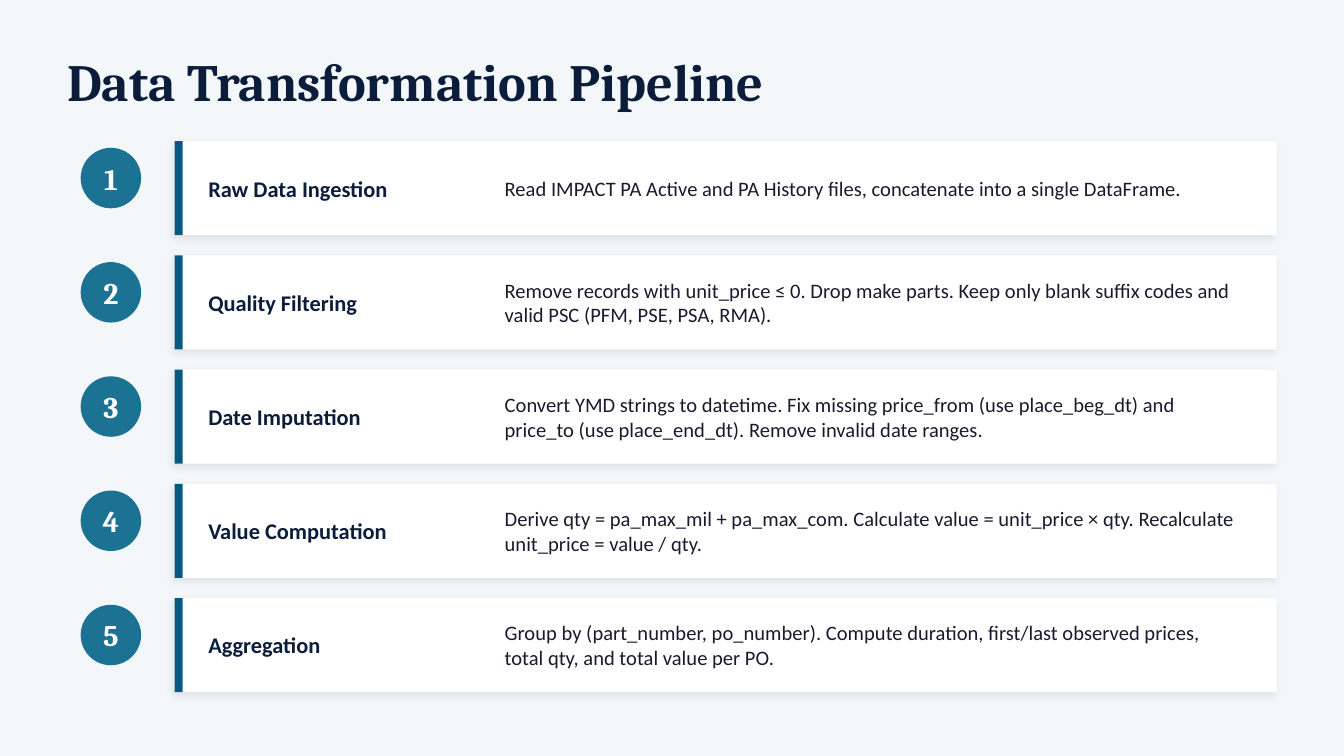
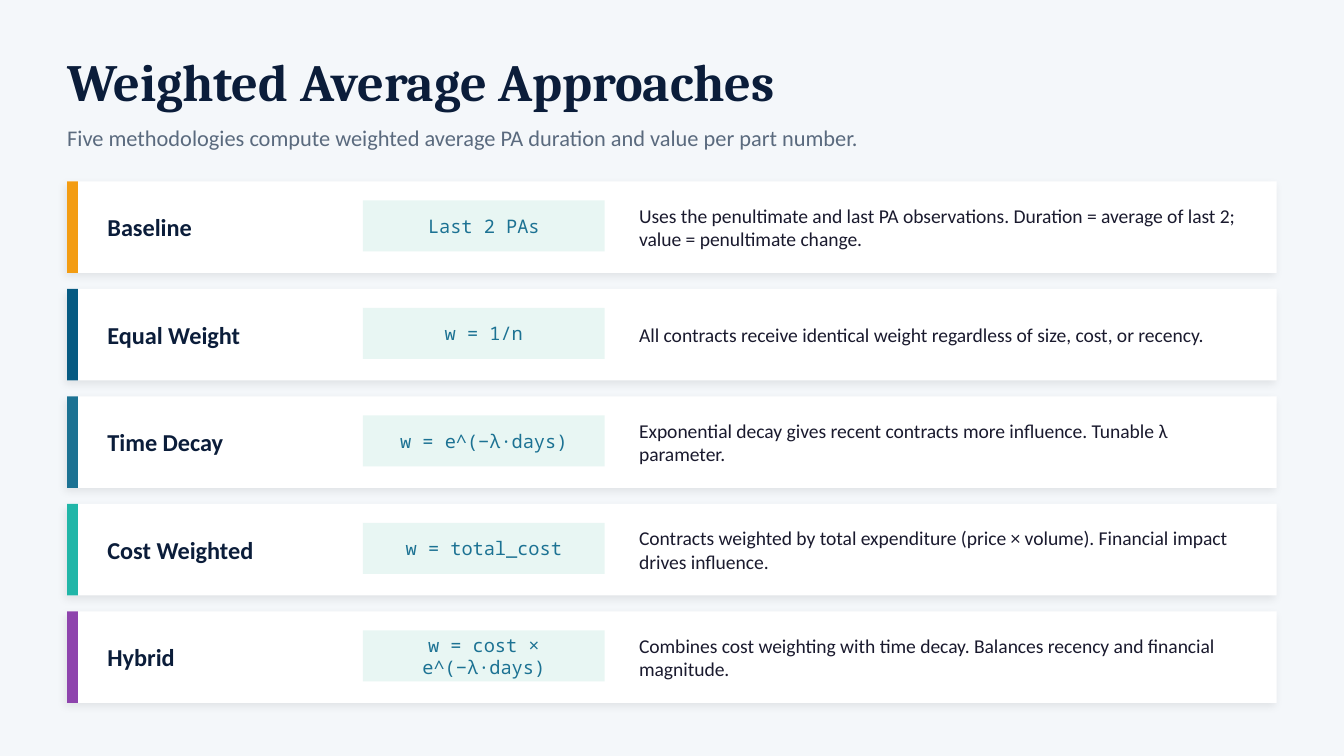
from lxml import etree
from pptx import Presentation
from pptx.dml.color import RGBColor
from pptx.enum.shapes import MSO_SHAPE
from pptx.enum.text import MSO_ANCHOR, MSO_AUTO_SIZE, PP_ALIGN
from pptx.oxml.ns import qn
from pptx.util import Inches, Pt

RECT, OVAL = MSO_SHAPE.RECTANGLE, MSO_SHAPE.OVAL
MIDDLE = MSO_ANCHOR.MIDDLE
LEFT, CENTER = PP_ALIGN.LEFT, PP_ALIGN.CENTER
NO_FIT = MSO_AUTO_SIZE.NONE

SERIF, SANS, MONO = "Cambria", "Calibri", "Noto Sans Mono"
PAGE, WHITE, NAVY, INK, SLATE = "F4F7FA", "FFFFFF", "0B1D3A", "1A1A2E", "5A6A7E"
BLUE, TEAL, MINT = "065A82", "1C7293", "E8F6F3"
AMBER, GREEN, PURPLE = "F39C12", "21B6A8", "8E44AD"

PIPELINE_TITLE = "Data Transformation Pipeline"
STEPS = [
    ("Raw Data Ingestion",
     "Read IMPACT PA Active and PA History files, concatenate into a single DataFrame."),
    ("Quality Filtering",
     "Remove records with unit_price ≤ 0. Drop make parts. Keep only blank suffix codes "
     "and valid PSC (PFM, PSE, PSA, RMA)."),
    ("Date Imputation",
     "Convert YMD strings to datetime. Fix missing price_from (use place_beg_dt) and "
     "price_to (use place_end_dt). Remove invalid date ranges."),
    ("Value Computation",
     "Derive qty = pa_max_mil + pa_max_com. Calculate value = unit_price × qty. "
     "Recalculate unit_price = value / qty."),
    ("Aggregation",
     "Group by (part_number, po_number). Compute duration, first/last observed prices, "
     "total qty, and total value per PO."),
]

APPROACHES_TITLE = "Weighted Average Approaches"
APPROACHES_INTRO = ("Five methodologies compute weighted average PA duration and value "
                    "per part number.")
APPROACHES = [
    ("Baseline", AMBER, "Last 2 PAs",
     "Uses the penultimate and last PA observations. Duration = average of last 2; "
     "value = penultimate change."),
    ("Equal Weight", BLUE, "w = 1/n",
     "All contracts receive identical weight regardless of size, cost, or recency."),
    ("Time Decay", TEAL, "w = e^(−λ·days)",
     "Exponential decay gives recent contracts more influence. Tunable λ parameter."),
    ("Cost Weighted", GREEN, "w = total_cost",
     "Contracts weighted by total expenditure (price × volume). Financial impact "
     "drives influence."),
    ("Hybrid", PURPLE, "w = cost × e^(−λ·days)",
     "Combines cost weighting with time decay. Balances recency and financial magnitude."),
]


def rgb(value):
    return RGBColor.from_string(value)


def write(sp, text, size, color, font=SANS, bold=False, align=LEFT, inset=0):
    tf = sp.text_frame
    tf.word_wrap = True
    tf.auto_size = NO_FIT
    tf.vertical_anchor = MIDDLE
    tf.margin_left = tf.margin_top = tf.margin_right = tf.margin_bottom = Pt(inset)
    p = tf.paragraphs[0]
    p.alignment = align
    r = p.add_run()
    r.text = text
    r.font.size = Pt(size)
    r.font.name = font
    r.font.bold = bold
    r.font.color.rgb = rgb(color)


def add_text(s, box, text, size, color, **style):
    sp = s.shapes.add_textbox(*map(Inches, box))
    write(sp, text, size, color, **style)


def add_block(s, kind, box, fill):
    sp = s.shapes.add_shape(kind, *map(Inches, box))
    sp.fill.solid()
    sp.fill.fore_color.rgb = rgb(fill)
    sp.line.fill.background()
    sp.shadow.inherit = False
    return sp


def add_soft_shadow(sp):
    effects = sp._element.spPr.find(qn("a:effectLst"))
    shadow = etree.SubElement(effects, qn("a:outerShdw"), blurRad=str(Pt(4)),
                              dist=str(Pt(2)), dir=str(135 * 60000),
                              algn="bl", rotWithShape="0")
    color = etree.SubElement(shadow, qn("a:srgbClr"), val="000000")
    etree.SubElement(color, qn("a:alpha"), val="8000")


def add_card(s, box, bar_width, bar_color):
    x, y, w, h = box
    add_soft_shadow(add_block(s, RECT, box, WHITE))
    add_block(s, RECT, (x, y, bar_width, h), bar_color)


def add_slide(prs, title):
    s = prs.slides.add_slide(prs.slide_layouts[5])
    s.background.fill.solid()
    s.background.fill.fore_color.rgb = rgb(PAGE)
    sp = s.shapes.title
    sp.left, sp.top, sp.width, sp.height = map(Inches, (0.5, 0.3, 9, 0.6))
    write(sp, title, 28, NAVY, font=SERIF, bold=True)
    return s


def build_pipeline(prs):
    s = add_slide(prs, PIPELINE_TITLE)
    top, pitch, h, badge = 1.05, 0.85, 0.7, 0.45
    for i, (name, detail) in enumerate(STEPS):
        y = top + i * pitch
        sp = add_block(s, OVAL, (0.6, y + 0.05, badge, badge), TEAL)
        write(sp, str(i + 1), 16, WHITE, font=SERIF, bold=True, align=CENTER)
        add_card(s, (1.3, y, 8.2, h), 0.06, BLUE)
        add_text(s, (1.55, y, 2.2, h), name, 12, NAVY, bold=True)
        add_text(s, (3.7, y, 5.6, h), detail, 11, INK, inset=4)


def build_approaches(prs):
    s = add_slide(prs, APPROACHES_TITLE)
    add_text(s, (0.5, 0.85, 9, 0.35), APPROACHES_INTRO, 12, SLATE)
    top, pitch, h = 1.35, 0.8, 0.68
    for i, (name, accent, formula, detail) in enumerate(APPROACHES):
        y = top + i * pitch
        add_card(s, (0.5, y, 9, h), 0.08, accent)
        add_text(s, (0.8, y, 1.8, h), name, 13, NAVY, bold=True)
        sp = add_block(s, RECT, (2.7, y + 0.14, 1.8, 0.38), MINT)
        write(sp, formula, 10, TEAL, font=MONO, align=CENTER)
        add_text(s, (4.7, y, 4.6, h), detail, 10.5, INK, inset=4)


def main():
    prs = Presentation()
    prs.slide_width = Inches(10)
    prs.slide_height = prs.slide_width * 9 // 16
    build_pipeline(prs)
    build_approaches(prs)
    prs.save("out.pptx")


if __name__ == "__main__":
    main()
